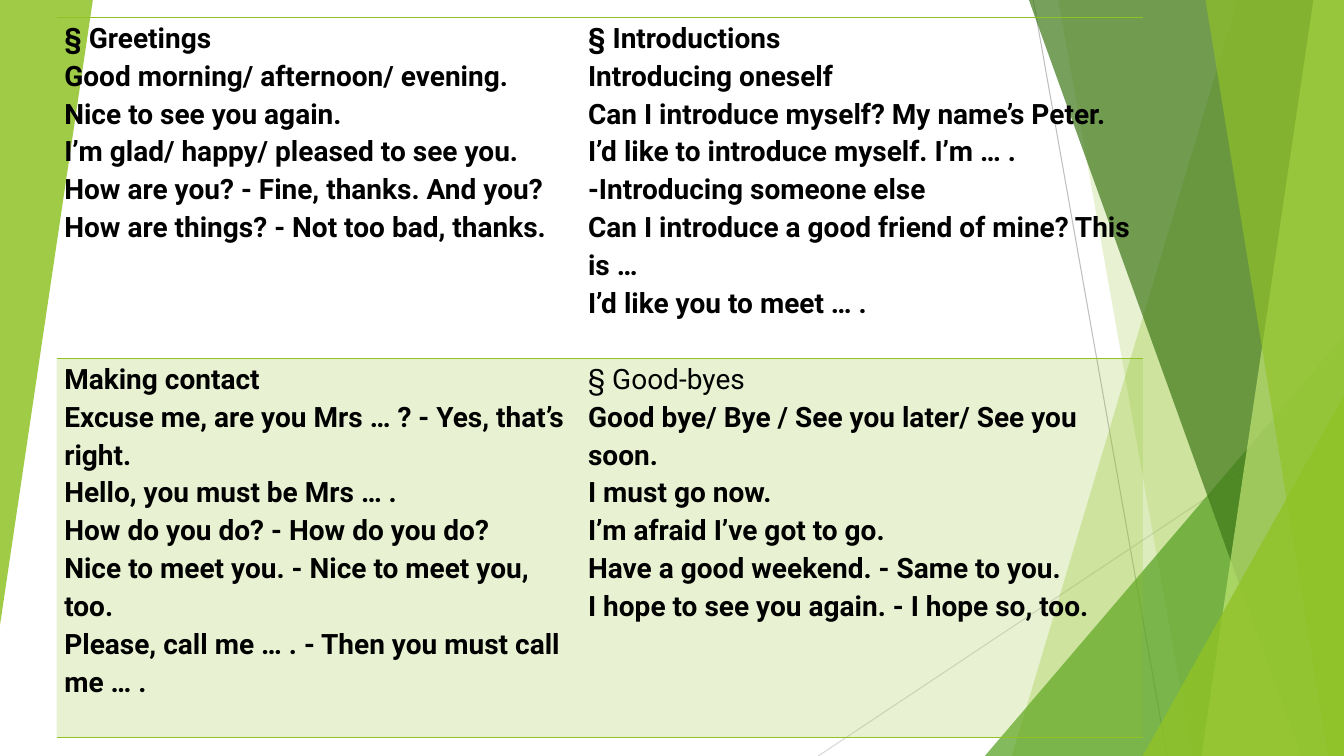
"""Builds a slide of everyday English phrases in a two-by-two table beside green facets."""
from dataclasses import dataclass

import lxml.etree
import pptx
import pptx.dml.color
import pptx.enum.shapes
import pptx.oxml
import pptx.oxml.ns
import pptx.util

Cm = pptx.util.Cm
Pt = pptx.util.Pt
qn = pptx.oxml.ns.qn
RGB = pptx.dml.color.RGBColor.from_string


@dataclass(frozen=True)
class Theme:
    font: str = "Roboto"
    size: int = 20
    spacing: float = 1.15
    text: str = "000000"
    lime: str = "90C226"
    green: str = "54A021"
    forest: str = "3F7819"
    pale: str = "C0E474"
    ray: str = "BFBFBF"
    light_ray: str = "D9D9D9"


def tint(fill, colour, opacity):
    fill.solid()
    fill.fore_color.rgb = RGB(colour)
    for node in fill._xPr.iter(qn("a:srgbClr")):
        lxml.etree.SubElement(node, qn("a:alpha")).set("val", str(opacity * 1000))


def border(cell, side, position, colour):
    paint = f'<a:solidFill><a:srgbClr val="{colour}"/></a:solidFill>' if colour else "<a:noFill/>"
    line = pptx.oxml.parse_xml(
        f'<a:{side} xmlns:a="http://schemas.openxmlformats.org/drawingml/2006/main" '
        f'w="{Pt(1)}">{paint}</a:{side}>')
    cell._tc.get_or_add_tcPr().insert(position, line)


theme = Theme()
WIDTH, HEIGHT = 33.87, 19.05
deck = pptx.Presentation()
deck.slide_width, deck.slide_height = Cm(WIDTH), Cm(HEIGHT)
slide = deck.slides.add_slide(deck.slide_layouts[6])

rays = [(26.04, 0, 29.41, HEIGHT, theme.ray), (WIDTH, 10.24, 20.62, HEIGHT, theme.light_ray)]
for x1, y1, x2, y2, colour in rays:
    ray = slide.shapes.add_connector(
        pptx.enum.shapes.MSO_CONNECTOR.STRAIGHT, Cm(x1), Cm(y1), Cm(x2), Cm(y2))
    ray.line.color.rgb = RGB(colour)
    ray.line.width = Pt(0.75)
    lxml.etree.SubElement(ray._element.spPr, qn("a:effectLst"))

# BAND = top x, bottom x; WEDGE = left, top, width, height, rotation
facets = [
    ((31.19, 25.5), theme.lime, 30),
    ((26.67, 30.05), theme.lime, 20),
    ((24.82, 8.46, 9.05, 10.59, 0), theme.green, 72),
    ((25.93, 32.79), theme.forest, 70),
    ((33.1, 30.28), theme.pale, 70),
    ((30.38, 33.48), theme.lime, 65),
    ((28.8, 9.98, 5.07, 9.07, 0), theme.lime, 80),
    ((0, 0, 2.34, 15.75, 180), theme.lime, 85),
]
for outline, colour, opacity in facets:
    if len(outline) == 2:
        top_x, bottom_x = outline
        band = slide.shapes.build_freeform(Cm(top_x), 0)
        corners = [(WIDTH, 0), (WIDTH, HEIGHT), (bottom_x, HEIGHT)]
        band.add_line_segments([(Cm(x), Cm(y)) for x, y in corners], close=True)
        facet = band.convert_to_shape()
    else:
        *box, rotation = outline
        facet = slide.shapes.add_shape(
            pptx.enum.shapes.MSO_SHAPE.ISOSCELES_TRIANGLE, *map(Cm, box))
        facet.adjustments[0] = 1
        facet.rotation = rotation
    tint(facet.fill, colour, opacity)
    facet.line.fill.background()
    facet.shadow.inherit = False

phrases = [
    [
        ["§ Greetings", "Good morning/ afternoon/ evening.", "Nice to see you again.",
         "I’m glad/ happy/ pleased to see you.", "How are you? - Fine, thanks. And you?",
         "How are things? - Not too bad, thanks."],
        ["§ Introductions", "Introducing oneself", "Can I introduce myself? My name’s Peter.",
         "I’d like to introduce myself. I’m … .", "-Introducing someone else",
         "Can I introduce a good friend of mine? This is …", "I’d like you to meet … ."],
    ],
    [
        ["Making contact", "Excuse me, are you Mrs … ? - Yes, that’s right.",
         "Hello, you must be Mrs … .", "How do you do? - How do you do?",
         "Nice to meet you. - Nice to meet you, too.",
         "Please, call me … . - Then you must call me … ."],
        ["§ Good-byes", "Good bye/ Bye / See you later/ See you soon.", "I must go now.",
         "I’m afraid I’ve got to go.", "Have a good weekend. - Same to you.",
         "I hope to see you again. - I hope so, too."],
    ],
]
column_widths, row_heights = (13.2, 14.17), (8.59, 9.55)
phrasebook = slide.shapes.add_table(
    2, 2, Cm(1.43), Cm(0.44), Cm(sum(column_widths)), Cm(sum(row_heights))).table
phrasebook.first_row = phrasebook.horz_banding = False
for column, width in zip(phrasebook.columns, column_widths):
    column.width = Cm(width)
for row, height in zip(phrasebook.rows, row_heights):
    row.height = Cm(height)

for r, topics in enumerate(phrases):
    for c, lines in enumerate(topics):
        cell = phrasebook.cell(r, c)
        cell.margin_left = cell.margin_right = Cm(0.19)
        cell.margin_top = cell.margin_bottom = 0
        if r == 0:
            cell.fill.background()
        else:
            tint(cell.fill, theme.lime, 20)
        for position, side in enumerate(("lnL", "lnR", "lnT", "lnB")):
            border(cell, side, position, theme.lime if side in ("lnT", "lnB") else None)
        cell.text = "\n".join(lines)
        for paragraph in cell.text_frame.paragraphs:
            paragraph.line_spacing = theme.spacing
            paragraph.font.name = theme.font
            paragraph.font.size = Pt(theme.size)
            paragraph.font.bold = paragraph.text != "§ Good-byes"
            paragraph.font.color.rgb = RGB(theme.text)

deck.save("out.pptx")
